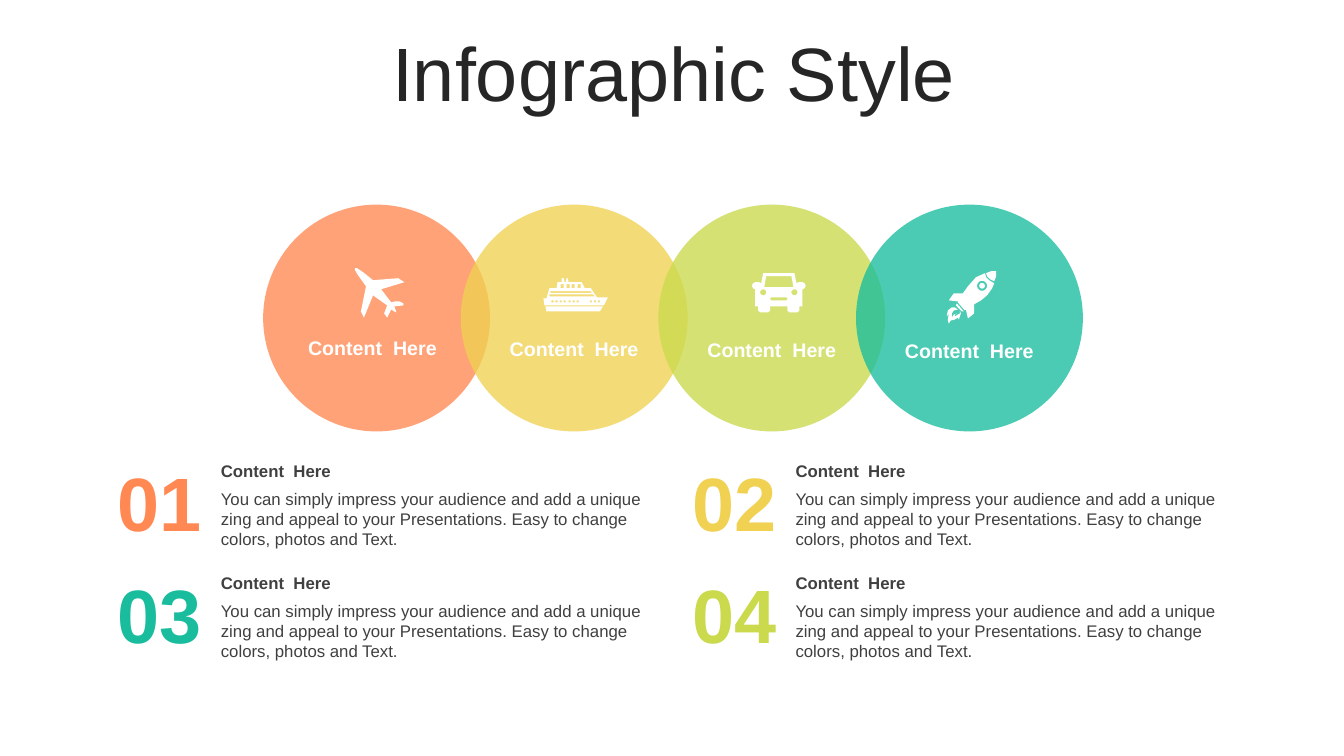
import dataclasses
import math

import lxml.etree
import pptx
import pptx.dml.color
import pptx.enum.shapes
import pptx.enum.text
import pptx.oxml.ns
import pptx.util


@dataclasses.dataclass(frozen=True)
class Theme:
    """Colours, font and type sizes of the slide."""
    font: str = "Arial"
    ink: str = "262626"
    text: str = "404040"
    white: str = "FFFFFF"
    orange: str = "FF8853"
    yellow: str = "F0D152"
    lime: str = "CADA4C"
    teal: str = "19BD9E"
    alpha: int = 78
    big: int = 54
    label: int = 14
    body: int = 12


THEME = Theme()
WIDE, HIGH = 13.33, 7.5
UNIT = 0.01
HEAD = "Content  Here"
BODY = ("You can simply impress your audience and add a unique zing and appeal "
        "to your Presentations. Easy to change colors, photos and Text.")
ALIGN = pptx.enum.text.PP_ALIGN
ANCHOR = pptx.enum.text.MSO_ANCHOR
INCH = pptx.util.Inches


def rect(x, y, w, h):
    """Return the corners of a rectangle."""
    return [(x, y), (x + w, y), (x + w, y + h), (x, y + h)]


def disc(x, y, r, count=24):
    """Return points round a circle."""
    turns = [2 * math.pi * n / count for n in range(count)]
    return [(x + r * math.cos(t), y + r * math.sin(t)) for t in turns]


PLANE = [[(48, 37), (39, 38), (41, 43), (41, 44), (39, 43), (36, 41), (32, 49),
          (29, 45), (32, 37), (18, 27), (9, 49), (6, 43), (11, 18), (3, 7),
          (0, 2), (0, 0), (2, 0), (8, 4), (18, 12), (43, 10), (49, 14),
          (26, 21), (36, 34), (40, 33), (44, 33), (48, 35)]]
SHIP = [
    [(23, 0), (24, 0), (25, 4), (38, 4), (41, 10), (47, 10), (53, 19), (64, 19),
     (60, 27), (1, 27), (0, 20), (3, 20), (6, 10), (13, 10), (14, 4), (18, 4),
     (18, 0), (20, 0), (21, 4), (22, 4)],
    [(2, 28), (59, 28), (56, 33), (3, 33)],
    [(6, 16), (49, 16), (51, 18), (6, 18)],
    [(7, 13), (47, 13), (48, 14.5), (7, 14.5)],
    *[rect(x, 6, 3, 4) for x in (17, 23, 28, 34)],
    *[rect(x, 22, 2, 2) for x in (8, 12, 16, 20, 25, 29, 33, 46, 50, 54)],
]
CAR = [
    [(11, 0), (42, 0), (44, 10), (46, 9), (50, 9), (52, 10), (53, 12), (53, 13),
     (52, 15), (50, 16), (50, 33), (47, 33), (47, 37), (45, 39), (37, 39),
     (35, 37), (35, 33), (18, 33), (18, 37), (16, 39), (8, 39), (6, 37),
     (6, 33), (3, 33), (3, 16), (1, 15), (0, 13), (0, 12), (1, 10), (3, 9),
     (7, 9), (9, 10)],
    [(14, 3), (39, 3), (41, 14), (12, 14)],
    [(19, 24), (34, 24), (35, 25), (35, 26), (34, 27), (19, 27), (18, 26), (18, 25)],
    disc(11, 19, 3), disc(42, 19, 3),
]
ROCKET = [
    [(12, 38), (8, 39), (6, 42), (6, 46), (8, 43), (11, 42), (9, 43), (9, 45),
     (12, 43), (14, 42), (14, 39), (15, 42), (13, 48), (12, 46), (9, 48),
     (5, 49), (3, 52), (2, 48), (3, 42), (1, 45), (2, 39), (6, 36), (9, 36)],
    [(11, 32), (18, 40), (16, 40), (10, 34)],
    [(39, 2), (40, 6), (43, 9), (48, 12), (46, 17), (41, 24), (35, 29), (28, 33),
     (28, 42), (22, 47), (20, 38), (19, 39), (12, 31), (12, 30), (3, 29),
     (8, 22), (17, 22), (22, 15), (30, 6)],
    [(50, 0), (50, 5), (48, 10), (44, 8), (41, 5), (40, 2), (45, 0)],
    disc(36, 14.5, 5), disc(36, 14.5, 2.8),
]


def write(frame, text, size=THEME.body, color=THEME.text, bold=False,
          align=ALIGN.LEFT, anchor=ANCHOR.MIDDLE, inset=(0.1, 0.05, 0.1, 0.05),
          lead=None):
    """Fill a text frame with one formatted paragraph."""
    frame.word_wrap = True
    frame.vertical_anchor = anchor
    (frame.margin_left, frame.margin_top,
     frame.margin_right, frame.margin_bottom) = map(INCH, inset)
    para = frame.paragraphs[0]
    para.alignment = align
    para.line_spacing = lead
    run = para.add_run()
    run.text = text
    run.font.name, run.font.size = THEME.font, pptx.util.Pt(size)
    run.font.bold = bold
    run.font.color.rgb = pptx.dml.color.RGBColor.from_string(color)


def label(slide, box, text, **form):
    """Add a text box."""
    write(slide.shapes.add_textbox(*map(INCH, box)).text_frame, text, **form)


def paint(shape, color):
    """Give a shape a plain fill with no line or shadow."""
    shape.shadow.inherit = False
    shape.fill.solid()
    shape.fill.fore_color.rgb = pptx.dml.color.RGBColor.from_string(color)
    shape.line.fill.background()


def icon(slide, left, top, loops):
    """Draw outlines and their holes as one white shape."""
    scale = INCH(UNIT) / 10
    pen = None
    for loop in loops:
        spots = [(round(x * 10), round(y * 10)) for x, y in loop]
        if pen is None:
            pen = slide.shapes.build_freeform(*spots[0], scale=scale)
        else:
            pen.move_to(*spots[0])
        pen.add_line_segments(spots[1:], close=True)
    paint(pen.convert_to_shape(INCH(left), INCH(top)), THEME.white)


def title(slide, box, text):
    """Place and format the title."""
    shape = slide.shapes.title
    shape.left, shape.top, shape.width, shape.height = map(INCH, box)
    write(shape.text_frame, text, size=THEME.big, color=THEME.ink,
          align=ALIGN.CENTER, lead=0.9)


def chain(slide, box, items):
    """Draw a row of overlapping circles with icons and labels."""
    left, top, width, size = box
    step = (width - size) / (len(items) - 1)
    for n, (color, *_) in enumerate(items):
        shape = slide.shapes.add_shape(
            pptx.enum.shapes.MSO_SHAPE.OVAL,
            *map(INCH, (left + n * step, top, size, size)))
        paint(shape, color)
        tint = shape.element.spPr.find(".//" + pptx.oxml.ns.qn("a:srgbClr"))
        lxml.etree.SubElement(tint, pptx.oxml.ns.qn("a:alpha"),
                              val=str(THEME.alpha * 1000))
    for n, (_, loops, dx, dy, shift) in enumerate(items):
        x = left + n * step
        label(slide, (x + shift, top + 1.25 + n * UNIT, 1.73, 0.34), HEAD,
              size=THEME.label, color=THEME.white, bold=True, align=ALIGN.CENTER)
        icon(slide, x + dx, top + dy, loops)


def entry(slide, box, mark, color):
    """Place a number beside its heading and text."""
    left, top, width = box
    wide = width - 1.13
    pad = (0, 0.05, 0.1, 0.05)
    label(slide, (left, top, 0.94, 0.91), mark, size=THEME.big, color=color,
          bold=True, align=ALIGN.RIGHT, inset=(0, 0, 0, 0))
    label(slide, (left + 1.13, top, wide, 0.3), HEAD, bold=True, inset=pad)
    label(slide, (left + 1.13, top + 0.28, wide, 0.71), BODY,
          anchor=ANCHOR.TOP, inset=pad)


def grid(slide, box, colors, cols=2):
    """Lay out the numbered entries in rows."""
    left, top, wide, high = box
    for n, color in enumerate(colors):
        row, col = divmod(n, cols)
        entry(slide, (left + col * wide, top + row * high, 5.58),
              f"{n + 1:02}", color)


def main():
    """Build and save the slide."""
    deck = pptx.Presentation()
    deck.slide_width, deck.slide_height = INCH(WIDE), INCH(HIGH)
    slide = deck.slides.add_slide(deck.slide_layouts[5])
    title(slide, (0.35, 0.37, WIDE * 0.95, 0.79), "Infographic Style")
    chain(slide, (2.61, 2.03, 8.13, 2.25), [
        (THEME.orange, PLANE, 0.91, 0.63, 0.22),
        (THEME.yellow, SHIP, 0.82, 0.73, 0.26),
        (THEME.lime, CAR, 0.93, 0.68, 0.26),
        (THEME.teal, ROCKET, 0.89, 0.66, 0.26),
    ])
    grid(slide, (1.06, 4.52, 5.7, 1.11),
         [THEME.orange, THEME.yellow, THEME.teal, THEME.lime])
    deck.save("out.pptx")


if __name__ == "__main__":
    main()
